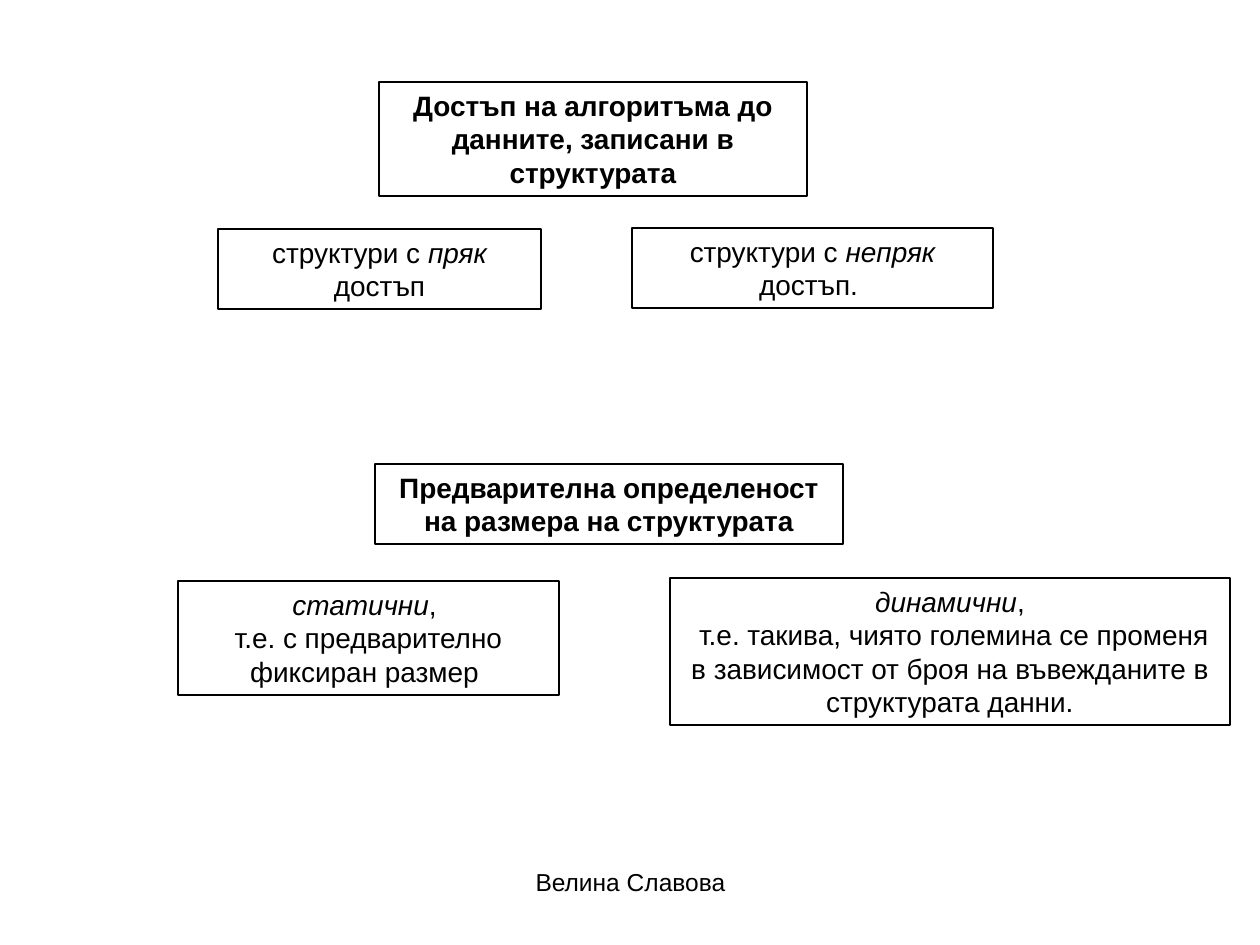
from pptx import Presentation
from pptx.dml.color import RGBColor
from pptx.enum.shapes import MSO_SHAPE
from pptx.enum.text import MSO_ANCHOR, MSO_AUTO_SIZE, PP_ALIGN
from pptx.util import Emu, Pt


def px(n):
    return Emu(round(n * 914400 / 126))


def color(value):
    return RGBColor.from_string(value)


class Deck:
    """Holds the slide style and the current slide, and adds its elements."""

    font = "Arial"
    ink = "000000"

    def __init__(self, prs):
        self.s = prs.slides.add_slide(prs.slide_layouts[6])

    def add_text(self, tf, paragraphs, size):
        tf.word_wrap = True
        tf.vertical_anchor = MSO_ANCHOR.TOP
        for i, runs in enumerate(paragraphs):
            p = tf.add_paragraph() if i else tf.paragraphs[0]
            p.alignment = PP_ALIGN.CENTER
            for text, style in runs:
                r = p.add_run()
                r.text = text
                r.font.name = self.font
                r.font.size = Pt(size)
                r.font.bold = style == "b"
                r.font.italic = style == "i"
                r.font.color.rgb = color(self.ink)

    def box(self, x, y, w, h, *paragraphs):
        sp = self.s.shapes.add_shape(MSO_SHAPE.RECTANGLE, px(x), px(y), px(w), px(h))
        sp.shadow.inherit = False
        sp.fill.background()
        sp.line.color.rgb = color(self.ink)
        sp.line.width = Pt(0.75)
        self.add_text(sp.text_frame, paragraphs, 16)
        sp.text_frame.auto_size = MSO_AUTO_SIZE.SHAPE_TO_FIT_TEXT

    def label(self, x, y, w, h, text):
        sp = self.s.shapes.add_textbox(px(x), px(y), px(w), px(h))
        self.add_text(sp.text_frame, [[(text, "")]], 14)


def main():
    prs = Presentation()
    prs.slide_width, prs.slide_height = px(1260), px(945)
    deck = Deck(prs)

    deck.box(632, 228, 361, 80,
             [("структури с ", ""), ("непряк", "i"), (" достъп. ", "")])
    deck.box(178, 581, 381, 114,
             [("статични", "i"), (", ", "")],
             [("т.е. с предварително фиксиран размер ", "")])
    deck.box(670, 578, 560, 147,
             [("динамични", "i"), (",", "")],
             [(" т.е. такива, чиято големина се променя в зависимост "
               "от броя на въвежданите в структурата данни.", "")])
    deck.box(375, 464, 468, 80,
             [("Предварителна определеност на размера на структурата", "b")])
    deck.box(379, 82, 428, 114,
             [("Достъп на алгоритъма до данните, записани в структурата", "b")])
    deck.box(218, 229, 323, 80,
             [("структури с ", ""), ("пряк", "i"), (" достъп", "")])
    deck.label(431, 861, 399, 66, "Велина Славова")

    prs.save("out.pptx")


if __name__ == "__main__":
    main()
